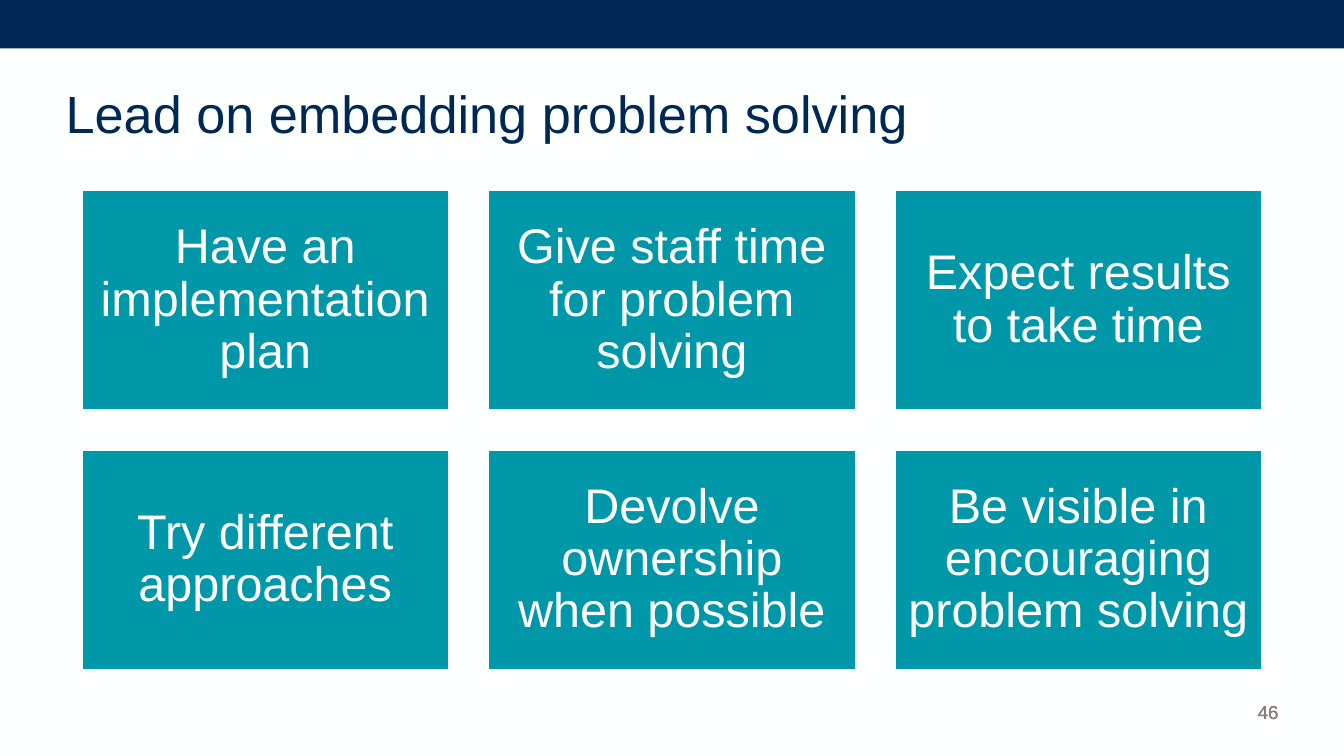
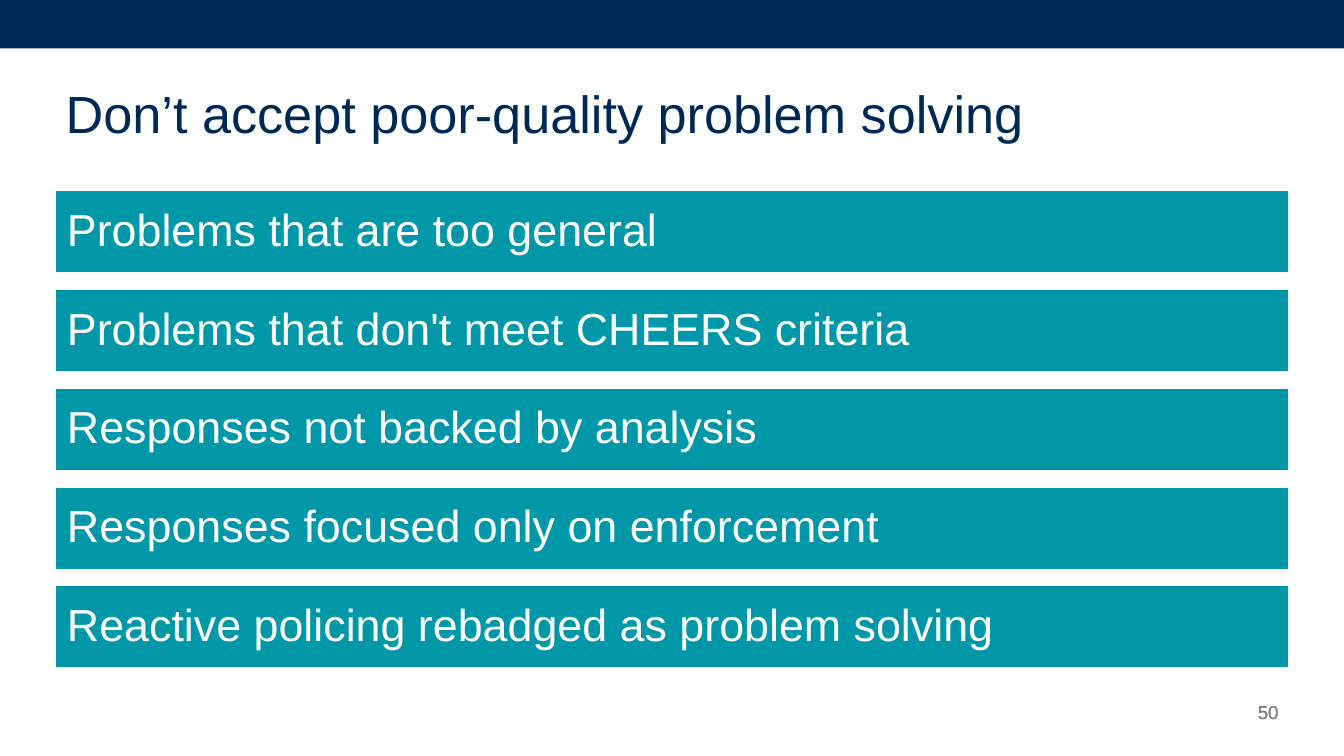
from pptx import Presentation
from pptx.dml.color import RGBColor
from pptx.enum.shapes import MSO_SHAPE
from pptx.enum.text import MSO_ANCHOR, PP_ALIGN
from pptx.util import Inches, Pt

RECT = MSO_SHAPE.RECTANGLE
MIDDLE, BOTTOM = MSO_ANCHOR.MIDDLE, MSO_ANCHOR.BOTTOM
LEFT, CENTER, RIGHT = PP_ALIGN.LEFT, PP_ALIGN.CENTER, PP_ALIGN.RIGHT

WIDTH = 10
HEIGHT = WIDTH * 9 / 16
BAND_HEIGHT = 0.36
TITLE_BOX = (0.39, 0.39, 9.21, 0.98)
NUMBER_BOX = (8.82, 4.99, 0.79, 0.44)
FONT = "Arial"
NAVY, TEAL, WHITE = "002855", "0097A9", "FEFFFF"
NUMBER_COLORS = ("4F4B51", "8C8279")  # dark number under a lighter one

# area: left, top, right, bottom; tile: width, height
SLIDES = [
    dict(
        title="Lead on embedding problem solving",
        number=46, columns=3, size=26, align=CENTER,
        area=(0.6, 1.41, 9.4, 4.99), tile=(2.75, 1.65),
        tiles=[
            "Have an implementation plan",
            "Give staff time for problem solving",
            "Expect results to take time",
            "Try different approaches",
            "Devolve ownership when possible",
            "Be visible in encouraging problem solving",
        ],
    ),
    dict(
        title="Don’t accept poor-quality problem solving",
        number=50, columns=1, size=24, align=LEFT,
        area=(0.4, 1.41, 9.6, 4.98), tile=(9.2, 0.63),
        tiles=[
            "Problems that are too general",
            "Problems that don't meet CHEERS criteria",
            "Responses not backed by analysis",
            "Responses focused only on enforcement",
            "Reactive policing rebadged as problem solving",
        ],
    ),
]


def paint(fill, color):
    fill.solid()
    fill.fore_color.rgb = RGBColor.from_string(color)


def write(sp, text, size, color, align=LEFT, anchor=MIDDLE, spacing=None):
    tf = sp.text_frame
    tf.word_wrap = True
    tf.vertical_anchor = anchor
    p = tf.paragraphs[0]
    p.text = text
    p.alignment = align
    p.line_spacing = spacing
    p.font.name = FONT
    p.font.size = Pt(size)
    p.font.color.rgb = RGBColor.from_string(color)


def add_text(slide, box, *args, **style):
    write(slide.shapes.add_textbox(*map(Inches, box)), *args, **style)


def add_rect(slide, box, color):
    sp = slide.shapes.add_shape(RECT, *map(Inches, box))
    sp.shadow.inherit = False
    paint(sp.fill, color)
    sp.line.fill.background()
    return sp


def positions(start, end, size, count):
    """Starts of equal parts spread evenly from start to end."""
    step = (end - start - size) / max(count - 1, 1)
    return [start + i * step for i in range(count)]


def add_tiles(slide, content):
    left, top, right, bottom = content["area"]
    width, height = content["tile"]
    columns, tiles = content["columns"], content["tiles"]
    xs = positions(left, right, width, columns)
    ys = positions(top, bottom, height, len(tiles) // columns)
    for i, text in enumerate(tiles):
        row, column = divmod(i, columns)
        sp = add_rect(slide, (xs[column], ys[row], width, height), TEAL)
        paint(sp.line.fill, WHITE)
        sp.line.width = Pt(2)
        write(sp, text, content["size"], WHITE, content["align"], spacing=0.9)


def add_slide(prs, content):
    slide = prs.slides.add_slide(prs.slide_layouts[6])
    paint(slide.background.fill, WHITE)
    add_rect(slide, (0, 0, WIDTH, BAND_HEIGHT), NAVY)
    for color in NUMBER_COLORS:
        add_text(slide, NUMBER_BOX, str(content["number"]), 10, color, RIGHT, BOTTOM)
    add_text(slide, TITLE_BOX, content["title"], 28, NAVY, spacing=Pt(27))
    add_tiles(slide, content)


def main():
    prs = Presentation()
    prs.slide_width, prs.slide_height = Inches(WIDTH), Inches(HEIGHT)
    for content in SLIDES:
        add_slide(prs, content)
    prs.save("out.pptx")


if __name__ == "__main__":
    main()
